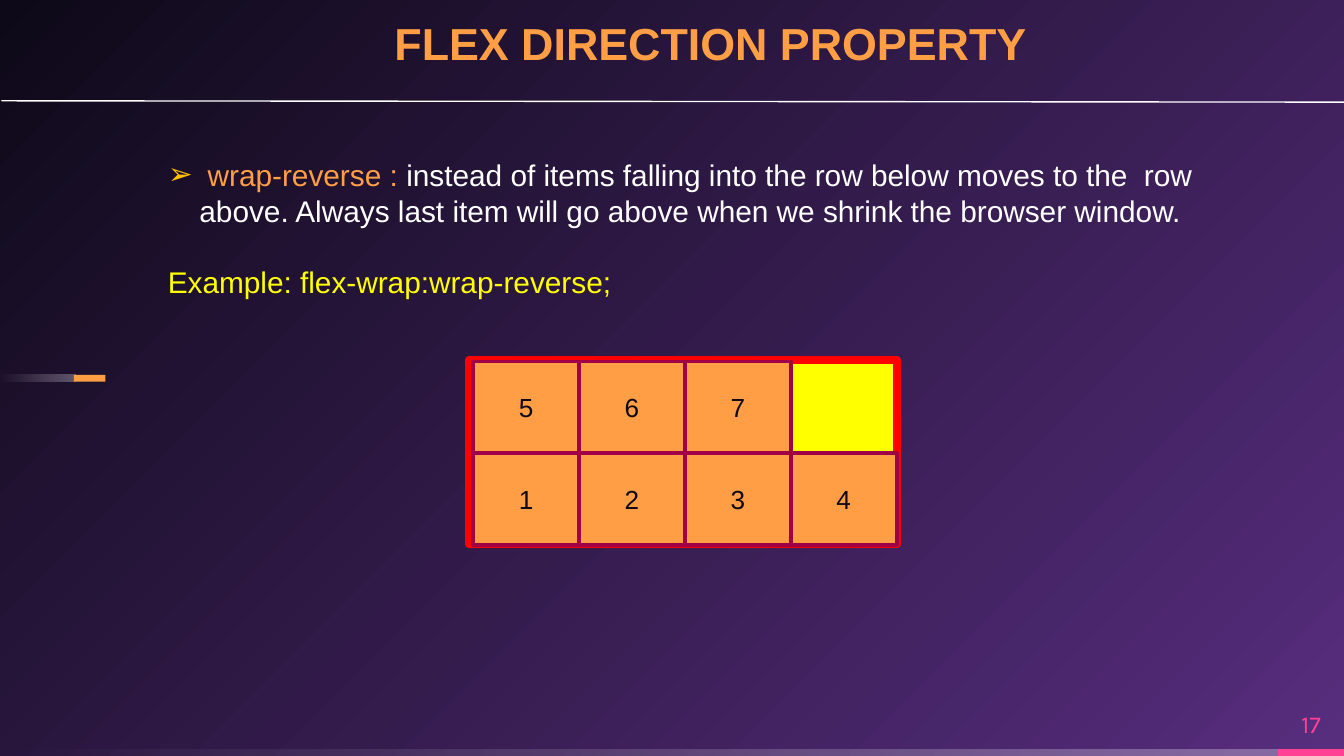
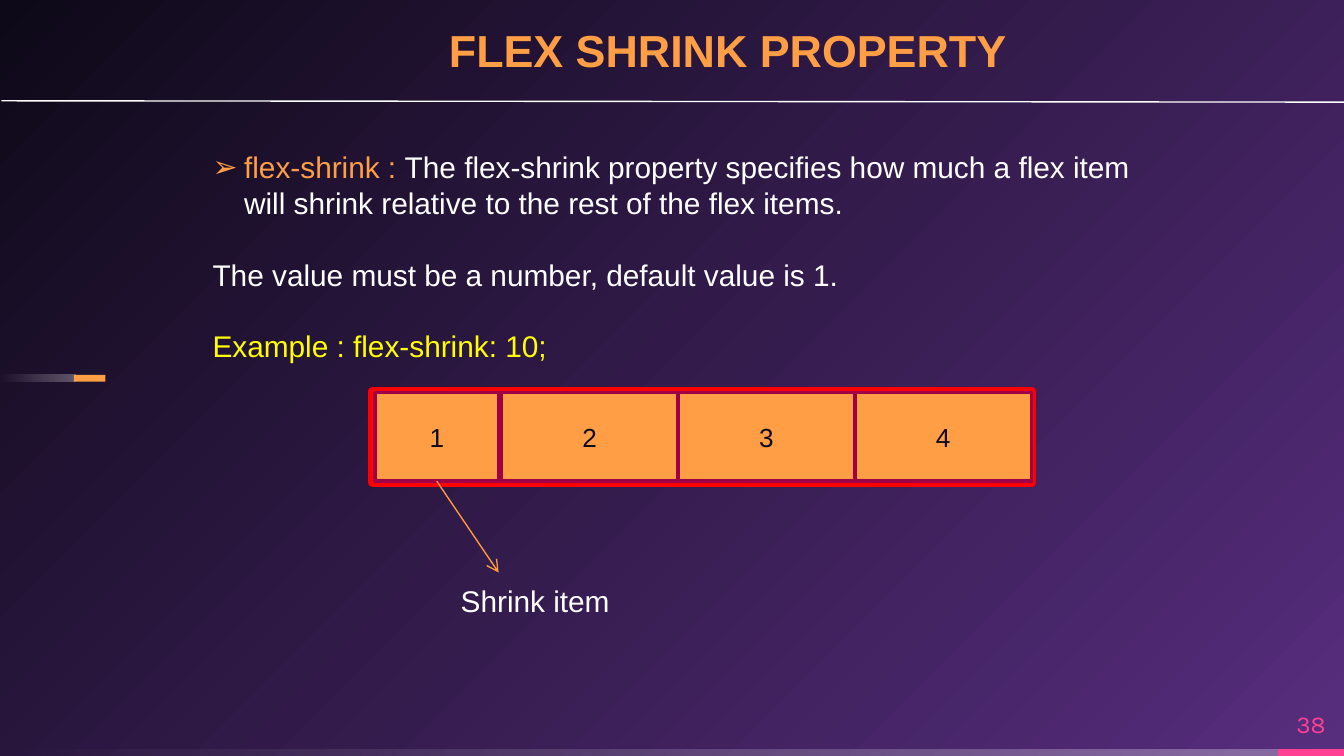
from dataclasses import dataclass

from lxml.etree import SubElement
from pptx import Presentation
from pptx.dml.color import RGBColor
from pptx.enum.shapes import MSO_CONNECTOR, MSO_SHAPE
from pptx.enum.text import MSO_ANCHOR, MSO_AUTO_SIZE, PP_ALIGN
from pptx.oxml.ns import qn
from pptx.util import Inches, Pt


@dataclass(frozen=True)
class Theme:
    glow: str = "572D7E"
    night: str = "0E0918"
    white: str = "FFFFFF"
    orange: str = "FF9E44"
    arrow: str = "FE9A3E"
    pink: str = "FF4093"
    gold: str = "FFC000"
    yellow: str = "FFFF00"
    red: str = "FF0000"
    plum: str = "A00045"
    font: str = "Arial"
    number_font: str = "Karla"
    title_size: float = 24
    body_size: float = 16
    item_size: float = 14
    number_size: float = 13
    line_pitch: float = 19.2
    hairline: float = 0.75
    item_line: float = 2
    container_line: float = 4.5


THEME = Theme()
COLUMNS, ROWS = 100, 56.25
CELLS_PER_INCH = 10
BULLET_INDENT = 2.35


def grid(*cells):
    return [Inches(cell / CELLS_PER_INCH) for cell in cells]


def color(value):
    return RGBColor.from_string(value)


class Deck:
    """Holds the presentation, its theme and the slide being filled."""

    def __init__(self, theme):
        self.theme = theme
        self.presentation = Presentation()
        size = grid(COLUMNS, ROWS)
        self.presentation.slide_width, self.presentation.slide_height = size
        self.slide = None

    def new_slide(self, title, title_box, number):
        theme = self.theme
        layout = self.presentation.slide_layouts[6]
        self.slide = self.presentation.slides.add_slide(layout)
        self.background()
        self.fading_band(0, 55.74, 95.4)
        self.band(95.1, 55.74, 4.9, theme.pink)
        self.fading_band(0, 27.9, 5.6)
        self.band(5.5, 27.9, 2.35, theme.orange)
        self.line((0.1, 7.5), (COLUMNS, 7.6), theme.white)
        self.label(title_box, title, theme.title_size, theme.orange,
                   MSO_ANCHOR.BOTTOM, bold=True)
        self.label((95.1, 51.94, 4.9, 3.8), number, theme.number_size, theme.pink,
                   MSO_ANCHOR.MIDDLE, PP_ALIGN.CENTER, font=theme.number_font)

    def background(self):
        """Radial gradient that glows from the bottom right corner."""
        fill = self.slide.background.fill
        fill.gradient()
        for stop, value in zip(fill.gradient_stops, (self.theme.glow, self.theme.night)):
            stop.color.rgb = color(value)
        gradient = next(self.slide._element.iter(qn("a:gradFill")))
        gradient.remove(gradient.find(qn("a:lin")))
        radial = SubElement(gradient, qn("a:path"), {"path": "circle"})
        SubElement(radial, qn("a:fillToRect"), {"l": "100000", "t": "100000"})

    def shape(self, kind, box, fill=None, outline=None, width=0):
        shape = self.slide.shapes.add_shape(kind, *grid(*box))
        shape.shadow.inherit = False
        if fill:
            shape.fill.solid()
            shape.fill.fore_color.rgb = color(fill)
        else:
            shape.fill.background()
        if outline:
            shape.line.color.rgb = color(outline)
            shape.line.width = Pt(width)
        else:
            shape.line.fill.background()
        return shape

    def band(self, left, top, width, fill=None):
        return self.shape(MSO_SHAPE.RECTANGLE, (left, top, width, 0.5), fill)

    def fading_band(self, left, top, width):
        """White band that fades out towards its left end."""
        band = self.band(left, top, width)
        band.fill.gradient()
        band.fill.gradient_angle = 180
        for stop in band.fill.gradient_stops:
            stop.color.rgb = color(self.theme.white)
        for element, opacity in zip(band._element.spPr.iter(qn("a:srgbClr")), (30, 0)):
            SubElement(element, qn("a:alpha"), {"val": str(opacity * 1000)})

    def line(self, start, end, value, arrow=False, source=None):
        connector = self.slide.shapes.add_connector(
            MSO_CONNECTOR.STRAIGHT, *grid(*start, *end))
        connector.line.color.rgb = color(value)
        connector.line.width = Pt(self.theme.hairline)
        properties = connector._element.spPr
        if arrow:
            SubElement(properties.find(qn("a:ln")), qn("a:tailEnd"), {"type": "arrow"})
        SubElement(properties, qn("a:effectLst"))
        if source is not None:
            connector.begin_connect(source, 2)

    def style(self, run, size, value, font=None, bold=False):
        run.font.name = font or self.theme.font
        run.font.size = Pt(size)
        run.font.bold = bold
        run.font.color.rgb = color(value)

    def label(self, box, text, size, value, anchor,
              alignment=PP_ALIGN.LEFT, font=None, bold=False):
        """One line of text without inner margins."""
        frame = self.slide.shapes.add_textbox(*grid(*box)).text_frame
        frame.word_wrap = True
        frame.vertical_anchor = anchor
        frame.margin_left = frame.margin_right = 0
        frame.margin_top = frame.margin_bottom = 0
        frame.text = text
        paragraph = frame.paragraphs[0]
        paragraph.alignment = alignment
        self.style(paragraph.runs[0], size, value, font, bold)

    def body(self, box, paragraphs, bullet=None):
        """Paragraphs of (text, colour) runs; bullet colours the first one's mark."""
        frame = self.slide.shapes.add_textbox(*grid(*box)).text_frame
        frame.word_wrap = True
        frame.auto_size = MSO_AUTO_SIZE.SHAPE_TO_FIT_TEXT
        for index, runs in enumerate(paragraphs):
            paragraph = frame.add_paragraph() if index else frame.paragraphs[0]
            paragraph.line_spacing = Pt(self.theme.line_pitch)
            if index:
                paragraph.space_before = Pt(self.theme.line_pitch)
            elif bullet:
                self.bullet(paragraph, bullet)
            for text, value in runs:
                run = paragraph.add_run()
                run.text = text
                self.style(run, self.theme.body_size, value)

    def bullet(self, paragraph, value):
        properties = paragraph._p.get_or_add_pPr()
        indent = grid(BULLET_INDENT)[0]
        properties.set("marL", str(indent))
        properties.set("indent", str(-indent))
        bullet_color = SubElement(properties, qn("a:buClr"))
        SubElement(bullet_color, qn("a:srgbClr"), {"val": value})
        SubElement(properties, qn("a:buFont"), {"typeface": self.theme.font})
        SubElement(properties, qn("a:buChar"), {"char": "➢"})

    def container(self, box, fill=None):
        self.shape(MSO_SHAPE.FLOWCHART_PROCESS, box, fill,
                   self.theme.red, self.theme.container_line)

    def item(self, box, text):
        theme = self.theme
        shape = self.shape(MSO_SHAPE.FLOWCHART_PROCESS, box, theme.orange,
                           theme.plum, theme.item_line)
        frame = shape.text_frame
        frame.text = text
        frame.vertical_anchor = MSO_ANCHOR.MIDDLE
        paragraph = frame.paragraphs[0]
        paragraph.alignment = PP_ALIGN.CENTER
        self.style(paragraph.runs[0], theme.item_size, theme.night)
        return shape


def add_wrap_reverse(deck):
    theme = deck.theme
    deck.new_slide("FLEX DIRECTION PROPERTY", (29.35, 0.8, 50.6, 4.35), "17")
    deck.body((11.5, 11.15, 78.9, 11.8), [
        [(" wrap-reverse : ", theme.orange),
         ("instead of items falling into the row below moves to the  row above. "
          "Always last item will go above when we shrink the browser window.",
          theme.white)],
        [("Example: flex-wrap:wrap-reverse;", theme.yellow)],
    ], bullet=theme.gold)
    deck.container((34.9, 26.8, 31.85, 13.7), theme.yellow)
    width, height = 7.88, 6.83
    for row, numbers in enumerate(("567", "1234")):
        for column, number in enumerate(numbers):
            deck.item((35.2 + column * width, 26.9 + row * height, width, height), number)


def add_flex_shrink(deck):
    theme = deck.theme
    deck.new_slide("FLEX SHRINK PROPERTY", (33.4, 1.4, 42.9, 4.3), "38")
    deck.body((14.83, 10.6, 70.8, 17.2), [
        [("flex-shrink : ", theme.orange),
         ("The flex-shrink property specifies how much a flex item will shrink "
          "relative to the rest of the flex items.", theme.white)],
        [("The value must be a number, default value is 1.", theme.white)],
        [("Example : flex-shrink: 10;", theme.yellow)],
    ], bullet=theme.orange)
    deck.container((27.7, 29.1, 49.1, 6.8))
    top, height, width = 29.2, 6.6, 13.15
    shrunk = deck.item((27.9, top, 9.2, height), "1")
    for column, number in enumerate("234"):
        deck.item((37.3 + column * width, top, width, height), number)
    deck.line((32.5, top + height), (37.1, 42.6), theme.arrow, arrow=True, source=shrunk)
    deck.body((33.3, 42.9, 14.4, 3.7), [[("Shrink item", theme.white)]])


def main():
    deck = Deck(THEME)
    add_wrap_reverse(deck)
    add_flex_shrink(deck)
    deck.presentation.save("out.pptx")


if __name__ == "__main__":
    main()
